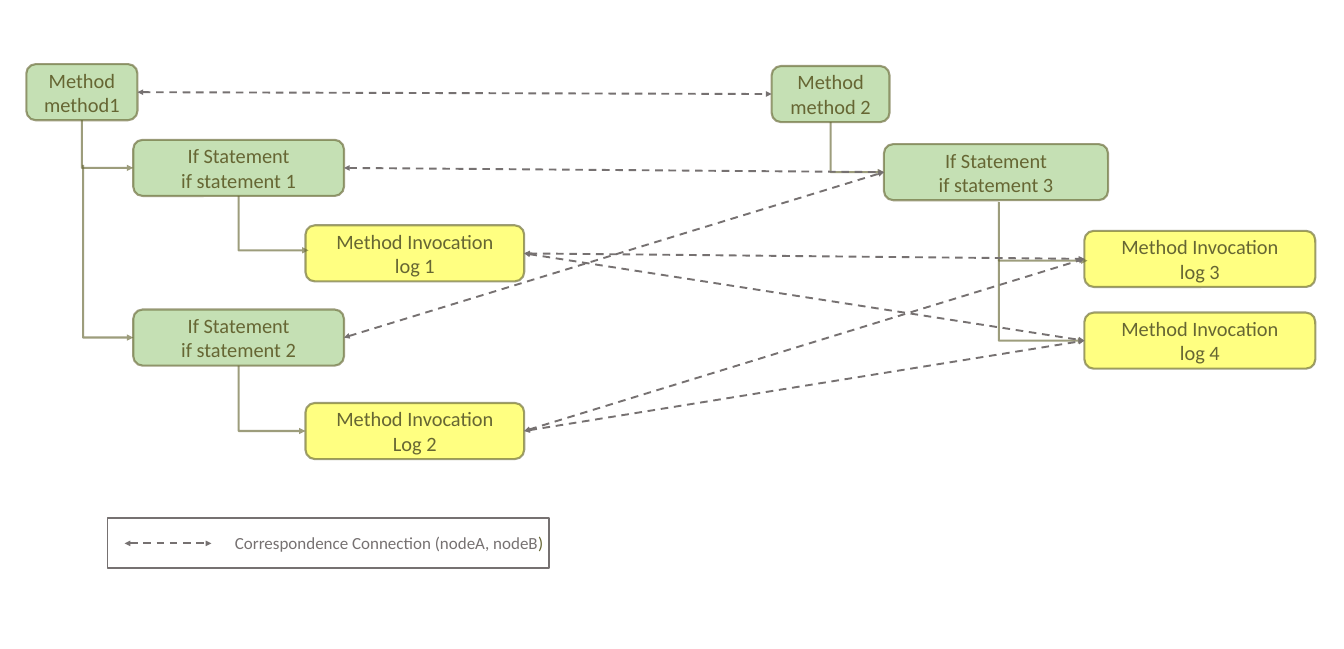
from dataclasses import dataclass

from lxml import etree
from pptx import Presentation
from pptx.dml.color import RGBColor
from pptx.enum.dml import MSO_LINE
from pptx.enum.shapes import MSO_CONNECTOR, MSO_SHAPE
from pptx.enum.text import MSO_ANCHOR, PP_ALIGN
from pptx.oxml.ns import qn
from pptx.util import Pt

ROUNDED = MSO_SHAPE.ROUNDED_RECTANGLE
RECTANGLE = MSO_SHAPE.RECTANGLE
STRAIGHT = MSO_CONNECTOR.STRAIGHT
ELBOW = MSO_CONNECTOR.ELBOW
DASH = MSO_LINE.DASH
MIDDLE = MSO_ANCHOR.MIDDLE
CENTER = PP_ALIGN.CENTER
RIGHT = PP_ALIGN.RIGHT

BOTTOM_SIDE, LEFT_SIDE, RIGHT_SIDE = 2, 1, 3
FONT = "Calibri"
GREEN = "C5E0B4"
YELLOW = "FFFF81"
OLIVE = "666633"
GREY = "767171"
NODE_HEIGHT = 66.2
TREE_LINE = 2.5
MATCH_LINE = 2.25
TREE_ALPHA = 63


@dataclass(frozen=True)
class Node:
    name: str
    kind: str
    left: float
    top: float
    width: float
    fill: str = GREEN


@dataclass(frozen=True)
class Link:
    start: str | tuple[float, float]
    end: str | tuple[float, float]


NODES = [
    Node("method1", "Method", 31, 75.6, 131),
    Node("if statement 1", "If Statement", 157, 164.9, 248.4),
    Node("log 1", "Method Invocation", 360, 265.7, 257.8, YELLOW),
    Node("if statement 2", "If Statement", 157, 365, 248.4),
    Node("Log 2", "Method Invocation", 360, 475.2, 257.8, YELLOW),
    Node("method 2", "Method", 909.4, 77.8, 139),
    Node("if statement 3", "If Statement", 1041.8, 169.9, 264.2),
    Node("log 3", "Method Invocation", 1278, 272.2, 272.2, YELLOW),
    Node("log 4", "Method Invocation", 1278, 368.6, 272.2, YELLOW),
]

BRANCHES = [
    Link("method1", "if statement 1"),
    Link((97.9, 194.4), "if statement 2"),
    Link("if statement 1", (363.6, 295.2)),
    Link("if statement 2", "Log 2"),
    Link("method 2", "if statement 3"),
    Link((1177.2, 238.3), (1281.6, 307.4)),
    Link((1177.2, 306), "log 4"),
]

MATCHES = [
    Link("method1", "method 2"),
    Link("if statement 1", "if statement 3"),
    Link("if statement 2", "if statement 3"),
    Link("log 1", "log 3"),
    Link("log 1", "log 4"),
    Link("Log 2", "log 3"),
    Link("Log 2", "log 4"),
    Link((146.9, 640.8), (249.1, 640.8)),
]


def color(value: str) -> RGBColor:
    return RGBColor.from_string(value)


def add_text(paragraph, text: str, *, size: float, font_color: str, align=CENTER) -> None:
    paragraph.alignment = align
    run = paragraph.add_run()
    run.text = text
    run.font.name = FONT
    run.font.size = Pt(size)
    run.font.color.rgb = color(font_color)


def format_line(line, *, width: float, line_color: str, alpha: int = 100) -> None:
    line.width = Pt(width)
    line.color.rgb = color(line_color)
    if alpha < 100:
        for fill_color in line._get_or_add_ln().iter(qn("a:srgbClr")):
            etree.SubElement(fill_color, qn("a:alpha"), val=str(alpha * 1000))


def add_box(slide, kind, left: float, top: float, width: float, height: float):
    shape = slide.shapes.add_shape(kind, Pt(left), Pt(top), Pt(width), Pt(height))
    shape.shadow.inherit = False
    shape.text_frame.word_wrap = True
    shape.text_frame.vertical_anchor = MIDDLE
    return shape


def draw_node(slide, node: Node):
    shape = add_box(slide, ROUNDED, node.left, node.top, node.width, NODE_HEIGHT)
    shape.fill.solid()
    shape.fill.fore_color.rgb = color(node.fill)
    format_line(shape.line, width=TREE_LINE, line_color=OLIVE, alpha=TREE_ALPHA)
    frame = shape.text_frame
    add_text(frame.paragraphs[0], node.kind, size=24, font_color=OLIVE)
    add_text(frame.add_paragraph(), node.name, size=24, font_color=OLIVE)
    return shape


def add_link(slide, shapes: dict, link: Link, kind, start_side: int):
    connector = slide.shapes.add_connector(kind, 0, 0, 0, 0)
    if isinstance(link.start, str):
        connector.begin_connect(shapes[link.start], start_side)
    else:
        connector.begin_x, connector.begin_y = map(Pt, link.start)
    if isinstance(link.end, str):
        connector.end_connect(shapes[link.end], LEFT_SIDE)
    else:
        connector.end_x, connector.end_y = map(Pt, link.end)
    return connector


def finish_line(connector, arrows: list[str]) -> None:
    line = connector.line._get_or_add_ln()
    for arrow in arrows:
        etree.SubElement(line, qn(arrow), type="triangle")
    etree.SubElement(connector._element.spPr, qn("a:effectLst"))


def turn_down_then_right(connector) -> None:
    across, down = connector.width, connector.height
    center_x = connector.left + across // 2
    center_y = connector.top + down // 2
    connector.left, connector.top = center_x - down // 2, center_y - across // 2
    connector.width, connector.height = down, across
    properties = connector._element.spPr
    transform = properties.find(qn("a:xfrm"))
    transform.set("rot", "16200000")
    transform.set("flipH", "1")
    properties.find(qn("a:prstGeom")).set("prst", "bentConnector2")


def draw_branch(slide, shapes: dict, link: Link) -> None:
    connector = add_link(slide, shapes, link, ELBOW, BOTTOM_SIDE)
    turn_down_then_right(connector)
    format_line(connector.line, width=TREE_LINE, line_color=OLIVE, alpha=TREE_ALPHA)
    finish_line(connector, ["a:tailEnd"])


def draw_match(slide, shapes: dict, link: Link) -> None:
    connector = add_link(slide, shapes, link, STRAIGHT, RIGHT_SIDE)
    format_line(connector.line, width=MATCH_LINE, line_color=GREY)
    connector.line.dash_style = DASH
    finish_line(connector, ["a:headEnd", "a:tailEnd"])


def draw_legend(slide) -> None:
    legend = add_box(slide, RECTANGLE, 126.7, 611.3, 520.6, 58.3)
    legend.fill.background()
    format_line(legend.line, width=MATCH_LINE, line_color=GREY)
    paragraph = legend.text_frame.paragraphs[0]
    label = "Correspondence Connection (nodeA, nodeB"
    add_text(paragraph, label, size=20, font_color=GREY, align=RIGHT)
    add_text(paragraph, ")", size=20, font_color=OLIVE, align=RIGHT)


def main() -> None:
    presentation = Presentation()
    presentation.slide_width = Pt(1584)
    presentation.slide_height = Pt(765.36)
    slide = presentation.slides.add_slide(presentation.slide_layouts[6])
    shapes = {node.name: draw_node(slide, node) for node in NODES}
    draw_legend(slide)
    for link in BRANCHES:
        draw_branch(slide, shapes, link)
    for link in MATCHES:
        draw_match(slide, shapes, link)
    presentation.save("out.pptx")


if __name__ == "__main__":
    main()
